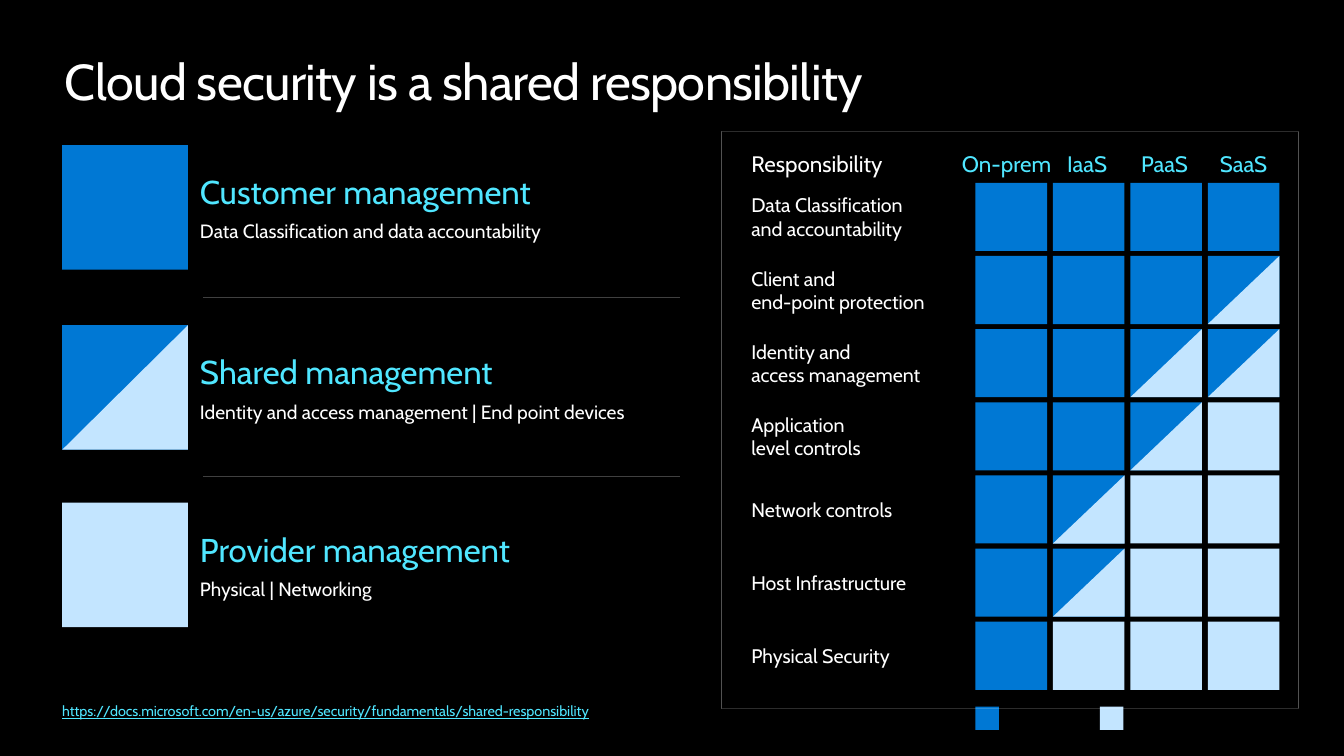
"""Build the slide on shared responsibility for cloud security."""
from dataclasses import dataclass

from lxml.etree import SubElement
from pptx import Presentation
from pptx.dml.color import RGBColor
from pptx.enum.shapes import MSO_CONNECTOR, MSO_SHAPE
from pptx.enum.text import MSO_ANCHOR, PP_ALIGN
from pptx.oxml.ns import qn
from pptx.slide import Slide
from pptx.text.text import TextFrame
from pptx.util import Cm, Pt

COLORS = {
    "background": "000000",
    "customer": "0078D4",
    "provider": "C3E5FF",
    "accent": "50E6FF",
    "text": "FFFFFF",
    "divider": "404040",
}
FONT = "Cabin"
GRID_LEFT, GRID_TOP = 25.07, 4.7
COLUMN_STEP, ROW_STEP = 1.99, 1.88
CELL_WIDTH, CELL_HEIGHT = 1.84, 1.75
LABEL_LEFT, LABEL_WIDTH = 19.31, 5.2
HEADER_TOP, HEADER_HEIGHT = 3.88, 0.66
KEY_LEFT, KEY_WIDTH, KEY_HEIGHT = 1.6, 3.23, 3.2


@dataclass
class Area:
    left: float
    top: float
    width: float
    height: float


@dataclass
class Management:
    owner: str
    top: float
    heading: str
    detail: str


@dataclass
class Column:
    name: str
    left: float
    width: float


@dataclass
class Responsibility:
    label: str
    owners: str


MANAGEMENTS = [
    Management("C", 3.73, "Customer management", "Data Classification and data accountability"),
    Management("S", 8.36, "Shared management", "Identity and access management | End point devices"),
    Management("P", 12.92, "Provider management", "Physical | Networking"),
]
COLUMNS = [
    Column("On-prem", 24.62, 2.5),
    Column("IaaS", 27.12, 1.64),
    Column("PaaS", 29.01, 1.84),
    Column("SaaS", 31.04, 1.84),
]
RESPONSIBILITIES = [
    Responsibility("Data Classification\nand accountability", "CCCC"),
    Responsibility("Client and\vend-point protection", "CCCS"),
    Responsibility("Identity and\vaccess management", "CCSS"),
    Responsibility("Application\vlevel controls", "CCSP"),
    Responsibility("Network controls", "CSPP"),
    Responsibility("Host Infrastructure", "CSPP"),
    Responsibility("Physical Security", "CPPP"),
]


def rgb(name: str) -> RGBColor:
    return RGBColor.from_string(COLORS[name])


def add_text(slide: Slide, area: Area, text: str, size: float, color: str = "text",
             anchor: MSO_ANCHOR = MSO_ANCHOR.MIDDLE) -> TextFrame:
    frame = slide.shapes.add_textbox(
        Cm(area.left), Cm(area.top), Cm(area.width), Cm(area.height)).text_frame
    frame.margin_left = frame.margin_top = frame.margin_right = frame.margin_bottom = 0
    frame.word_wrap = True
    frame.vertical_anchor = anchor
    frame.text = text
    for paragraph in frame.paragraphs:
        for run in paragraph.runs:
            run.font.name = FONT
            run.font.size = Pt(size)
            run.font.color.rgb = rgb(color)
    return frame


def add_square(slide: Slide, area: Area, owner: str) -> None:
    square = slide.shapes.add_shape(
        MSO_SHAPE.RECTANGLE, Cm(area.left), Cm(area.top), Cm(area.width), Cm(area.height))
    parts = [(square, "provider" if owner == "P" else "customer")]
    if owner == "S":
        right, bottom = Cm(area.left + area.width), Cm(area.top + area.height)
        outline = slide.shapes.build_freeform(right, Cm(area.top))
        outline.add_line_segments([(right, bottom), (Cm(area.left), bottom)], close=True)
        parts.append((outline.convert_to_shape(), "provider"))
    for part, color in parts:
        part.shadow.inherit = False
        part.fill.solid()
        part.fill.fore_color.rgb = rgb(color)
        part.line.fill.background()


def add_divider(slide: Slide, top: float) -> None:
    divider = slide.shapes.add_connector(
        MSO_CONNECTOR.STRAIGHT, Cm(5.22), Cm(top), Cm(17.48), Cm(top))
    divider.line.color.rgb = rgb("divider")
    divider.line.width = Pt(0.5)
    SubElement(divider._element.spPr, qn("a:effectLst"))


def add_panel(slide: Slide) -> None:
    panel = slide.shapes.add_shape(
        MSO_SHAPE.RECTANGLE, Cm(18.54), Cm(3.38), Cm(14.83), Cm(14.83))
    panel.shadow.inherit = False
    panel.fill.background()
    panel.line.color.rgb = rgb("text")
    panel.line.width = Pt(0.25)
    color = panel._element.spPr.find(".//" + qn("a:srgbClr"))
    SubElement(color, qn("a:alpha"), val="50000")


def add_management(slide: Slide, management: Management) -> None:
    add_square(slide, Area(KEY_LEFT, management.top, KEY_WIDTH, KEY_HEIGHT), management.owner)
    frame = add_text(slide, Area(5.14, management.top, 12, KEY_HEIGHT),
                     f"{management.heading}\n{management.detail}", 14)
    heading, detail = frame.paragraphs
    heading.runs[0].font.size = Pt(24)
    heading.runs[0].font.color.rgb = rgb("accent")
    detail.space_before = Pt(6.1)


def add_matrix(slide: Slide) -> None:
    add_text(slide, Area(LABEL_LEFT, HEADER_TOP, LABEL_WIDTH, HEADER_HEIGHT),
             "Responsibility", 16.3)
    for column in COLUMNS:
        header = add_text(slide, Area(column.left, HEADER_TOP, column.width, HEADER_HEIGHT),
                          column.name, 16.3, "accent")
        header.paragraphs[0].alignment = PP_ALIGN.CENTER
    for row, responsibility in enumerate(RESPONSIBILITIES):
        top = GRID_TOP + row * ROW_STEP
        add_text(slide, Area(LABEL_LEFT, top, LABEL_WIDTH, CELL_HEIGHT),
                 responsibility.label, 14.3)
        for column, owner in enumerate(responsibility.owners):
            left = GRID_LEFT + column * COLUMN_STEP
            add_square(slide, Area(left, top, CELL_WIDTH, CELL_HEIGHT), owner)


def main() -> None:
    presentation = Presentation()
    presentation.slide_width, presentation.slide_height = Cm(34.54), Cm(19.43)
    slide = presentation.slides.add_slide(presentation.slide_layouts[6])
    slide.background.fill.solid()
    slide.background.fill.fore_color.rgb = rgb("background")

    title = add_text(slide, Area(1.67, 1.3, 31.22, 1.57),
                     "Cloud security is a shared responsibility", 36.7, anchor=MSO_ANCHOR.TOP)
    title.paragraphs[0].runs[0]._r.get_or_add_rPr().set("spc", "-50")

    for management in MANAGEMENTS:
        add_management(slide, management)
    for top in (7.65, 12.24):
        add_divider(slide, top)

    for left, owner in ((GRID_LEFT, "C"), (28.27, "P")):
        add_square(slide, Area(left, 18.16, 0.6, 0.6), owner)
    add_panel(slide)
    add_matrix(slide)

    source = add_text(
        slide, Area(KEY_LEFT, 18.05, 22, 0.46),
        "https://docs.microsoft.com/en-us/azure/security/fundamentals/shared-responsibility",
        10.5, "accent", MSO_ANCHOR.TOP)
    source.paragraphs[0].runs[0].font.underline = True
    presentation.save("out.pptx")


if __name__ == "__main__":
    main()
